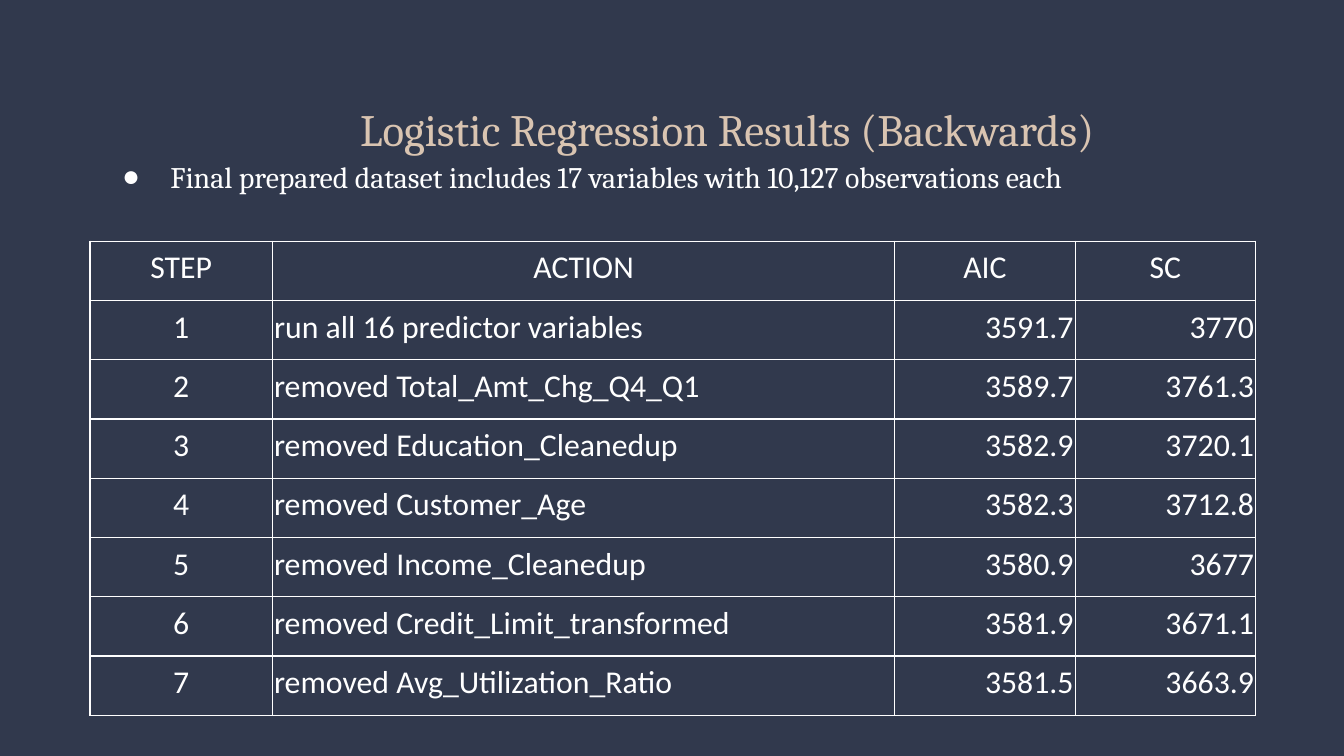
from lxml import etree
from pptx import Presentation
from pptx.dml.color import RGBColor
from pptx.enum.text import MSO_ANCHOR, MSO_AUTO_SIZE, PP_ALIGN
from pptx.oxml.ns import qn
from pptx.util import Cm, Pt

LEFT, MID, RIGHT = PP_ALIGN.LEFT, PP_ALIGN.CENTER, PP_ALIGN.RIGHT
TOP = MSO_ANCHOR.TOP
GROW = MSO_AUTO_SIZE.SHAPE_TO_FIT_TEXT

THEME = {
    "back": "31394D",
    "line": "FFFFFF",
    "title": {"name": "Cambria", "size": Pt(24), "color": "D9C4B1"},
    "body": {"name": "Cambria", "size": Pt(16), "color": "FFFFFF"},
    "cell": {"name": "Calibri", "size": Pt(17), "color": "FFFFFF"},
}

ROWS = [
    ("STEP", "ACTION", "AIC", "SC"),
    ("1", "run all 16 predictor variables", "3591.7", "3770"),
    ("2", "removed Total_Amt_Chg_Q4_Q1", "3589.7", "3761.3"),
    ("3", "removed Education_Cleanedup", "3582.9", "3720.1"),
    ("4", "removed Customer_Age", "3582.3", "3712.8"),
    ("5", "removed Income_Cleanedup", "3580.9", "3677"),
    ("6", "removed Credit_Limit_transformed", "3581.9", "3671.1"),
    ("7", "removed Avg_Utilization_Ratio", "3581.5", "3663.9"),
]
WIDTHS = [3.45, 11.76, 3.41, 3.41]
ALIGNS = [MID, LEFT, RIGHT, RIGHT]
ROW_H = 1.12


def write(frame, text, style, align, space):
    """Fill the frame with one styled paragraph and return it."""
    para = frame.paragraphs[0]
    para.alignment, para.line_spacing = align, space
    para.space_before = Pt(0)
    run = para.add_run()
    run.text = text
    for key, value in THEME[style].items():
        if key == "color":
            run.font.color.rgb = RGBColor.from_string(value)
        else:
            setattr(run.font, key, value)
    return para


def add_fill(node, color):
    fill = etree.SubElement(node, qn("a:solidFill"))
    etree.SubElement(fill, qn("a:srgbClr"), val=color)


deck = Presentation()
deck.slide_width, deck.slide_height = Cm(25.4), Cm(14.29)
slide = deck.slides.add_slide(deck.slide_layouts[1])
slide.background.fill.solid()
slide.background.fill.fore_color.rgb = RGBColor.from_string(THEME["back"])

# Title and bullet
title, body = slide.placeholders
boxes = [
    (title, (-0.71, 0.51, 26.37, 1.63), "title", MID, 2.15, (2.54, 0),
     "Logistic Regression Results (Backwards)"),
    (body, (1.7, 2.41, 24.38, 1.19), "body", LEFT, 1.5, (1.27, -0.91),
     "Final prepared dataset includes 17 variables with 10,127 observations each"),
]
for box, place, style, align, space, (margin, indent), text in boxes:
    for name, value in zip(("left", "top", "width", "height"), place):
        setattr(box, name, Cm(value))
    frame = box.text_frame
    for side in ("left", "top", "right", "bottom"):
        setattr(frame, "margin_" + side, Cm(0.25))
    frame.word_wrap, frame.auto_size, frame.vertical_anchor = True, GROW, TOP
    para = write(frame, text, style, align, space)
    props = para._p.get_or_add_pPr()
    props.set("marL", str(Cm(margin)))
    props.set("indent", str(Cm(indent)))

bullet = etree.SubElement(props, qn("a:buClr"))
etree.SubElement(bullet, qn("a:srgbClr"), val=THEME["body"]["color"])
etree.SubElement(props, qn("a:buChar"), char="●")

# Table of steps
table = slide.shapes.add_table(
    len(ROWS), len(WIDTHS), Cm(1.7), Cm(4.56),
    Cm(sum(WIDTHS)), Cm(ROW_H * len(ROWS))).table
table.first_row = table.horz_banding = False
for col, width in zip(table.columns, WIDTHS):
    col.width = Cm(width)
for r, row in enumerate(ROWS):
    table.rows[r].height = Cm(ROW_H)
    for c, text in enumerate(row):
        cell = table.cell(r, c)
        cell.margin_left = cell.margin_right = cell.margin_top = Cm(0.03)
        cell.margin_bottom = Cm(0.25)
        cell.vertical_anchor = TOP
        write(cell.text_frame, text, "cell", ALIGNS[c] if r else MID, 1.15)
        props = cell._tc.get_or_add_tcPr()
        for side in ("lnL", "lnR", "lnT", "lnB"):
            edge = etree.SubElement(props, qn("a:" + side), w=str(Pt(0.75)))
            add_fill(edge, THEME["line"])
        cell.fill.background()

deck.save("out.pptx")
